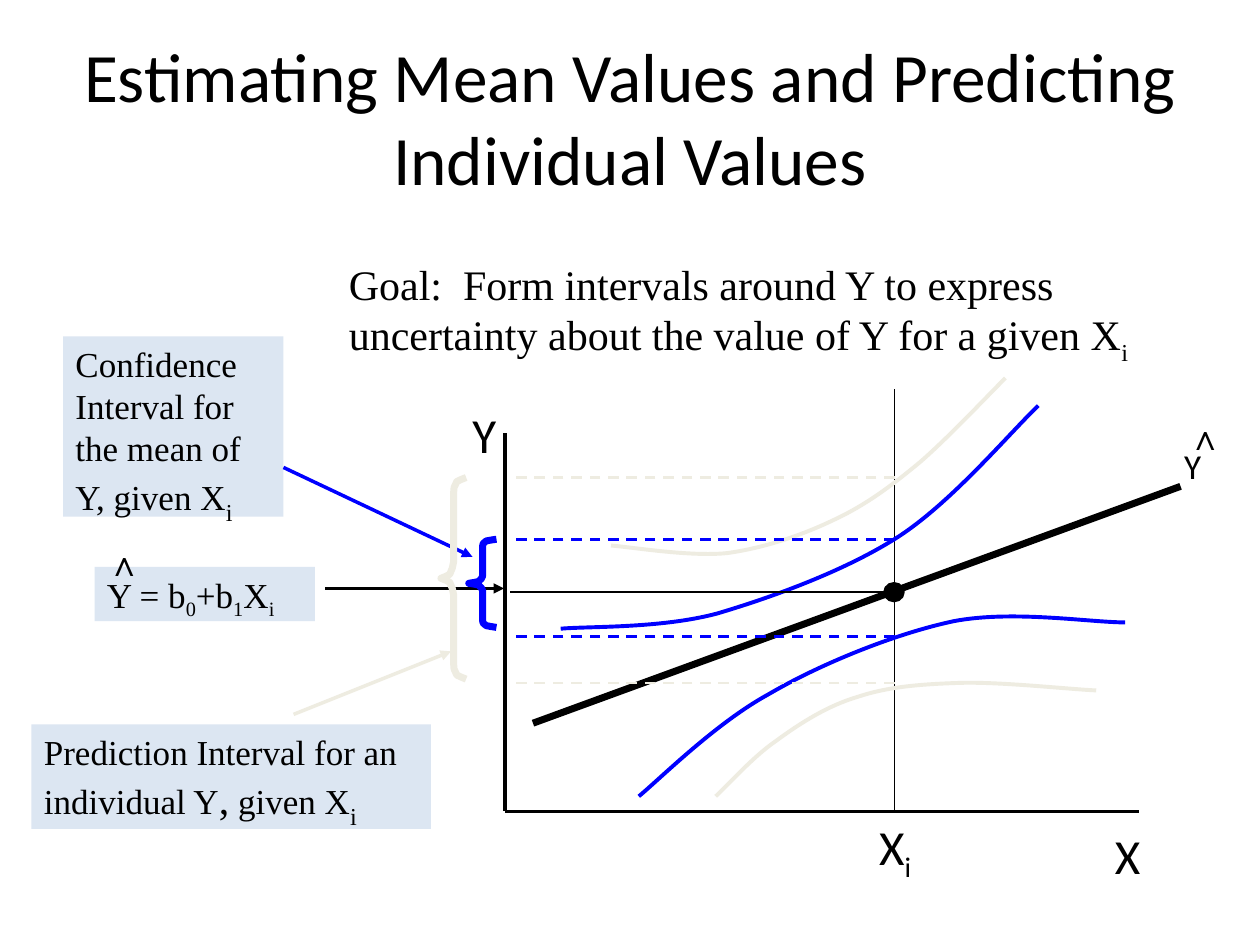
from lxml import etree
from pptx import Presentation
from pptx import util as u
from pptx.dml.color import RGBColor
from pptx.enum import dml, shapes, text
from pptx.oxml.ns import qn

Inches = u.Inches
BLACK, BLUE, CREAM, PALE = "000000", "0000FF", "EEECE1", "DCE6F2"
SERIF, SANS = "Times New Roman", "Calibri"


def color(value):
    return RGBColor.from_string(value)


def set_line(shape, stroke, width):
    shape.line.color.rgb = color(stroke)
    shape.line.width = u.Pt(width)
    properties = shape._element.spPr
    if properties.find(qn("a:effectLst")) is None:
        etree.SubElement(properties, qn("a:effectLst"))


deck = Presentation()
deck.slide_width, deck.slide_height = Inches(10), Inches(7.5)
page = deck.slides.add_slide(deck.slide_layouts[6])

# Text: left, top, width, height, fill, font, runs of (words, size, subscript)
labels = [
    (0.5, 0.3, 9, 1.25, None, SANS,
     [("Estimating Mean Values and Predicting Individual Values", 39.6, False)]),
    (2.67, 2, 7.08, 0.9, None, SERIF,
     [("Goal:  Form intervals around Y to express uncertainty about "
       "the value of Y for a given X", 24, False), ("i", 24, True)]),
    (0.5, 2.67, 1.75, 1.43, PALE, SERIF,
     [("Confidence Interval for the mean of Y, given X", 20, False), ("i", 24, True)]),
    (0.75, 4.5, 1.75, 0.43, PALE, SERIF,
     [("Y = b", 20, False), ("0", 20, True), ("+b", 20, False), ("1", 20, True),
      ("X", 20, False), ("i", 20, True)]),
    (0.25, 5.75, 3.17, 0.83, PALE, SERIF,
     [("Prediction Interval for an individual Y", 20, False), (",", 24, False),
      (" given X", 20, False), ("i", 24, True)]),
    (3.65, 3.16, 0.62, 0.56, None, SANS, [("Y", 28, False)]),
    (8.75, 6.5, 1.01, 0.56, None, SANS, [("X", 28, False)]),
    (6.88, 6.43, 0.6, 0.56, None, SANS, [("X", 28, False), ("i", 28, True)]),
    (9.3, 3.48, 0.26, 0.43, None, SANS, [("Y", 20, False)]),
    (0.75, 4.25, 1.16, 0.43, None, "Arial", [("∧", 20, False)]),
    (9.33, 3.25, 0.37, 0.43, None, "Arial", [("∧", 20, False)]),
]
for left, top, width, height, fill, font, runs in labels:
    box = page.shapes.add_textbox(*map(Inches, (left, top, width, height)))
    if fill:
        box.fill.solid()
        box.fill.fore_color.rgb = color(fill)
    box.text_frame.word_wrap = True
    para = box.text_frame.paragraphs[0]
    if top == 0.3:
        para.alignment = text.PP_ALIGN.CENTER
        box.text_frame.vertical_anchor = text.MSO_ANCHOR.MIDDLE
    for words, size, subscript in runs:
        span = para.add_run()
        span.text = words
        for name, value in {"name": font, "size": u.Pt(size),
                            "bold": font == "Arial"}.items():
            setattr(span.font, name, value)
        span.font.color.rgb = color(BLACK)
        if subscript:
            span.font._element.set("baseline", "-25000")

# Strokes from back to front: points, colour, width, style
strokes = [
    ([(2.33, 5.67), (3.58, 5.17)], CREAM, 2, "arrow"),
    ([(2.25, 3.71), (3.75, 4.42)], BLUE, 2, "arrow"),
    ([(2.58, 4.67), (4, 4.67)], BLACK, 1.5, "arrow"),
    ([(4.01, 3.44), (4.01, 6.44)], BLACK, 2, "solid"),
    ([(4.01, 6.44), (9.04, 6.44)], BLACK, 2, "solid"),
    ([(4.23, 5.74), (9.37, 3.86)], BLACK, 4, "solid"),
    ([(7.1, 3.09), (7.1, 6.44)], BLACK, 1, "solid"),
]

# Braces: the upper half as shares of width and height, mirrored for the lower
upper = [(1, 0), (0.8, 0.01), (0.63, 0.02), (0.52, 0.05), (0.5, 0.08), (0.5, 0.42),
         (0.45, 0.45), (0.35, 0.48), (0.2, 0.49), (0, 0.5)]
brace = upper + [(x, 1 - y) for x, y in upper[-2::-1]]
for left, top, width, height, stroke in (
        (3.5, 3.79, 0.2, 1.6, CREAM), (3.72, 4.28, 0.22, 0.7, BLUE)):
    points = [(left + x * width, top + y * height) for x, y in brace]
    strokes.append((points, stroke, 4, "brace"))

# Interval bands: chains of cubic Bezier segments
strokes += [
    ([(5.07, 6.32), (5.24, 6.18), (5.68, 5.74), (6.1, 5.51), (6.51, 5.27),
      (7.1, 5.03), (7.57, 4.93), (8.04, 4.84), (8.65, 4.94), (8.93, 4.94)],
     BLUE, 2.25, "curve"),
    ([(5.68, 6.32), (5.76, 6.25), (5.97, 6.01), (6.16, 5.88), (6.35, 5.74),
      (6.57, 5.6), (6.81, 5.53), (7.05, 5.45), (7.31, 5.43), (7.62, 5.42),
      (7.94, 5.41), (8.48, 5.47), (8.7, 5.48)], CREAM, 2.25, "curve"),
    ([(4.85, 4.33), (5, 4.34), (5.47, 4.42), (5.77, 4.39), (6.06, 4.35),
      (6.36, 4.25), (6.61, 4.13), (6.87, 4.01), (7.07, 3.86), (7.3, 3.67),
      (7.52, 3.48), (7.84, 3.14), (7.98, 3)], CREAM, 2.25, "curve"),
    ([(4.45, 4.99), (4.66, 4.97), (5.24, 4.99), (5.69, 4.87), (6.13, 4.74),
      (6.71, 4.53), (7.13, 4.26), (7.56, 3.98), (8.01, 3.44), (8.24, 3.22)],
     BLUE, 2.25, "curve"),
]

# Levels read off at the given X
strokes.append(([(7.1, 4.7), (4.05, 4.7)], BLACK, 1, "solid"))
for level, stroke in ((3.79, CREAM), (5.42, CREAM), (5.05, BLUE), (4.28, BLUE)):
    strokes.append(([(7.1, level), (4.05, level)], stroke, 1.5, "dash"))

for points, stroke, width, style in strokes:
    points = [(Inches(x), Inches(y)) for x, y in points]
    if style in ("brace", "curve"):
        builder = page.shapes.build_freeform(*points[0])
        builder.add_line_segments(points[1:], close=False)
        line = builder.convert_to_shape()
        line.fill.background()
    else:
        line = page.shapes.add_connector(
            shapes.MSO_CONNECTOR.STRAIGHT, *points[0], *points[1])
    set_line(line, stroke, width)
    if style == "curve":
        # Each three line steps become one cubic step
        steps = list(line._element.iter(qn("a:lnTo")))
        for first in range(0, len(steps), 3):
            cubic = etree.Element(qn("a:cubicBezTo"))
            steps[first].addprevious(cubic)
            for step in steps[first:first + 3]:
                cubic.append(step[0])
                step.getparent().remove(step)
    elif style == "dash":
        line.line.dash_style = dml.MSO_LINE.DASH
    elif style == "arrow":
        etree.SubElement(line.line._get_or_add_ln(), qn("a:tailEnd"), type="triangle")

# Point on the regression line
dot = page.shapes.add_shape(
    shapes.MSO_SHAPE.OVAL, *map(Inches, (7.02, 4.63, 0.15, 0.14)))
dot.fill.solid()
dot.fill.fore_color.rgb = color(BLACK)
set_line(dot, BLACK, 1.5)

deck.save("out.pptx")
